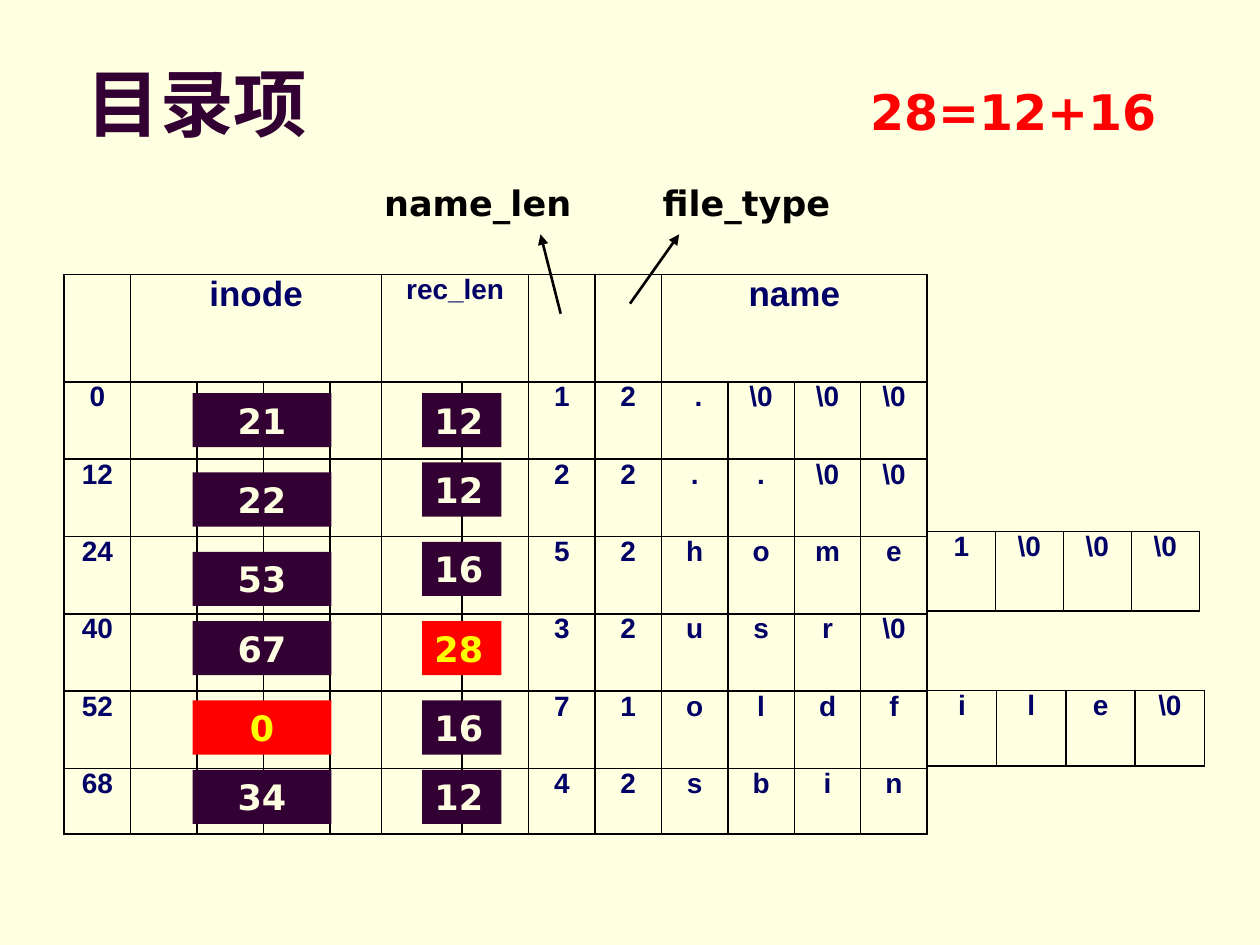
"""Build the slide that explains directory entries and their record lengths."""
from dataclasses import dataclass
from typing import Any, NamedTuple, Sequence

from lxml import etree
from pptx import Presentation
from pptx import util as u
from pptx.dml.color import RGBColor
from pptx.enum import shapes, text
from pptx.oxml import ns


@dataclass(frozen=True)
class Theme:
    paper: str = "FFFFE1"
    plum: str = "330033"
    navy: str = "000066"
    ink: str = "000000"
    alert: str = "FF0000"
    alert_text: str = "FFFF00"
    title_font: str = "Times New Roman"
    table_font: str = "Arial"
    label_font: str = "DejaVu Sans"
    title_size: int = 42
    sum_size: int = 28
    label_size: int = 20
    cell_size: int = 16
    border: float = 1
    arrow: float = 1.5


class Area(NamedTuple):
    left: float
    top: float
    width: float
    height: float


class Style(NamedTuple):
    font: str
    size: int
    color: str
    align: Any = text.PP_ALIGN.LEFT


class Entry(NamedTuple):
    offset: str
    inode: str
    inode_top: float
    rec_len: str
    rec_len_top: float
    name_len: str
    file_type: str
    name: Sequence[str]


class Label(NamedTuple):
    wording: str
    area: Area
    style: Style
    frame: dict


class Grid(NamedTuple):
    area: Area
    columns: Sequence[float]
    rows: Sequence[float]
    cells: Sequence[Sequence[str]]


class Arrow(NamedTuple):
    start: tuple[float, float]
    end: tuple[float, float]


THEME = Theme()
CENTER = text.PP_ALIGN.CENTER
CELL = Style(THEME.table_font, THEME.cell_size, THEME.navy, CENTER)
HEADING = CELL._replace(size=THEME.label_size)
LABEL = Style(THEME.label_font, THEME.label_size, THEME.ink)
GROW = {"word_wrap": True, "auto_size": text.MSO_AUTO_SIZE.SHAPE_TO_FIT_TEXT}
MIDDLE = {"word_wrap": True, "vertical_anchor": text.MSO_ANCHOR.MIDDLE}
CELL_FORMAT = {f"margin_{side}": 0 for side in ("left", "top", "right", "bottom")}

NUL = "\\0"
ENTRIES = [
    Entry("0", "21", 3.12, "12", 3.12, "1", "2", (" .", NUL, NUL, NUL)),
    Entry("12", "22", 3.75, "12", 3.67, "2", "2", (".", ".", NUL, NUL)),
    Entry("24", "53", 4.38, "16", 4.3, "5", "2", "home"),
    Entry("40", "67", 4.93, "28", 4.93, "3", "2", ("u", "s", "r", NUL)),
    Entry("52", "0", 5.56, "16", 5.56, "7", "1", "oldf"),
    Entry("68", "34", 6.11, "12", 6.11, "4", "2", "sbin"),
]
ALERTS = {"28", "0"}
HEADINGS = {1: ("inode", 4, HEADING), 5: ("rec_len", 2, CELL), 9: ("name", 4, HEADING)}

LABELS = [
    Label("目录项", Area(0.59, 0.44, 8.75, 0.74),
          Style(THEME.title_font, THEME.title_size, THEME.plum), MIDDLE),
    Label("name_len", Area(2.95, 1.39, 1.89, 0.43), LABEL, GROW),
    Label("file_type", Area(5.16, 1.39, 2.12, 0.43), LABEL, GROW),
    Label("28=12+16", Area(6.81, 0.6, 2.68, 0.57),
          Style(THEME.label_font, THEME.sum_size, THEME.alert), GROW),
]
ARROWS = [Arrow((4.45, 2.49), (4.29, 1.86)), Arrow((5, 2.41), (5.39, 1.86))]


def inches(values: Sequence[float]) -> list[int]:
    return [u.Inches(value) for value in values]


def apply(target: Any, values: dict) -> None:
    for attribute, value in values.items():
        setattr(target, attribute, value)


def write(frame: Any, wording: str, style: Style) -> None:
    paragraph = frame.paragraphs[0]
    paragraph.alignment = style.align
    run = paragraph.add_run()
    run.text = wording
    apply(run.font, {"name": style.font, "size": u.Pt(style.size), "bold": True})
    run.font.color.rgb = RGBColor.from_string(style.color)


def rule_cell(cell: Any) -> None:
    properties = cell._tc.get_or_add_tcPr()
    for side in ("lnL", "lnR", "lnT", "lnB"):
        border = etree.SubElement(properties, ns.qn(f"a:{side}"), w=str(u.Pt(THEME.border)))
        fill = etree.SubElement(border, ns.qn("a:solidFill"))
        etree.SubElement(fill, ns.qn("a:srgbClr"), val=THEME.ink)
    cell.fill.background()


def draw_grid(slide: Any, grid: Grid) -> Any:
    table = slide.shapes.add_table(
        len(grid.rows), len(grid.columns), *inches(grid.area)).table
    apply(table, {"first_row": False, "horz_banding": False})
    for column, width in zip(table.columns, inches(grid.columns)):
        column.width = width
    for row, height in zip(table.rows, inches(grid.rows)):
        row.height = height
    for r, wordings in enumerate(grid.cells):
        for c, wording in enumerate(wordings):
            cell = table.cell(r, c)
            apply(cell, CELL_FORMAT)
            rule_cell(cell)
            if wording:
                write(cell.text_frame, wording, CELL)
    return table


def draw_headings(table: Any) -> None:
    for column, (wording, span, style) in HEADINGS.items():
        heading = table.cell(0, column)
        heading.merge(table.cell(0, column + span - 1))
        write(heading.text_frame, wording, style)


def draw_value(slide: Any, value: str, area: Area, align: Any) -> None:
    fill, color = ((THEME.alert, THEME.alert_text) if value in ALERTS
                   else (THEME.plum, THEME.paper))
    box = slide.shapes.add_shape(shapes.MSO_SHAPE.RECTANGLE, *inches(area))
    box.shadow.inherit = False
    box.fill.solid()
    box.fill.fore_color.rgb = RGBColor.from_string(fill)
    box.line.fill.background()
    apply(box.text_frame, GROW)
    write(box.text_frame, value, LABEL._replace(color=color, align=align))


def draw_label(slide: Any, label: Label) -> None:
    frame = slide.shapes.add_textbox(*inches(label.area)).text_frame
    apply(frame, label.frame)
    write(frame, label.wording, label.style)


def draw_arrow(slide: Any, arrow: Arrow) -> None:
    pointer = slide.shapes.add_connector(
        shapes.MSO_CONNECTOR.STRAIGHT, *inches(arrow.start + arrow.end))
    pointer.line.width = u.Pt(THEME.arrow)
    pointer.line.color.rgb = RGBColor.from_string(THEME.ink)
    etree.SubElement(pointer.line._get_or_add_ln(), ns.qn("a:tailEnd"), type="triangle")
    etree.SubElement(pointer._element.spPr, ns.qn("a:effectLst"))


def main() -> None:
    deck = Presentation()
    apply(deck, {"slide_width": u.Inches(10), "slide_height": u.Inches(7.5)})
    slide = deck.slides.add_slide(deck.slide_layouts[6])
    slide.background.fill.solid()
    slide.background.fill.fore_color.rgb = RGBColor.from_string(THEME.paper)

    area = Area(0.51, 2.18, 6.85, 4.44)
    byte = (area.width - 0.41 - 0.64) / 11
    entry_height = (area.height - 0.85 - 0.52) / 5
    cells = [[""] * 13] + [
        [e.offset, *[""] * 6, e.name_len, e.file_type, *e.name] for e in ENTRIES]
    draw_headings(draw_grid(slide, Grid(
        area, [byte] * 4 + [0.41, 0.64] + [byte] * 7,
        [0.85] + [entry_height] * 5 + [0.52], cells)))
    for top, width, height, tail in (
            (4.22, 0.54, 0.63, ("1", NUL, NUL, NUL)),
            (5.48, 0.55, 0.6, ("i", "l", "e", NUL))):
        draw_grid(slide, Grid(
            Area(7.36, top, 4 * width, height), [width] * 4, [height], [tail]))

    for e in ENTRIES:
        draw_value(slide, e.inode, Area(1.53, e.inode_top, 1.1, 0.43), CENTER)
        draw_value(slide, e.rec_len, Area(3.35, e.rec_len_top, 0.63, 0.43), LABEL.align)
    for label in LABELS:
        draw_label(slide, label)
    for arrow in ARROWS:
        draw_arrow(slide, arrow)
    deck.save("out.pptx")


main()
